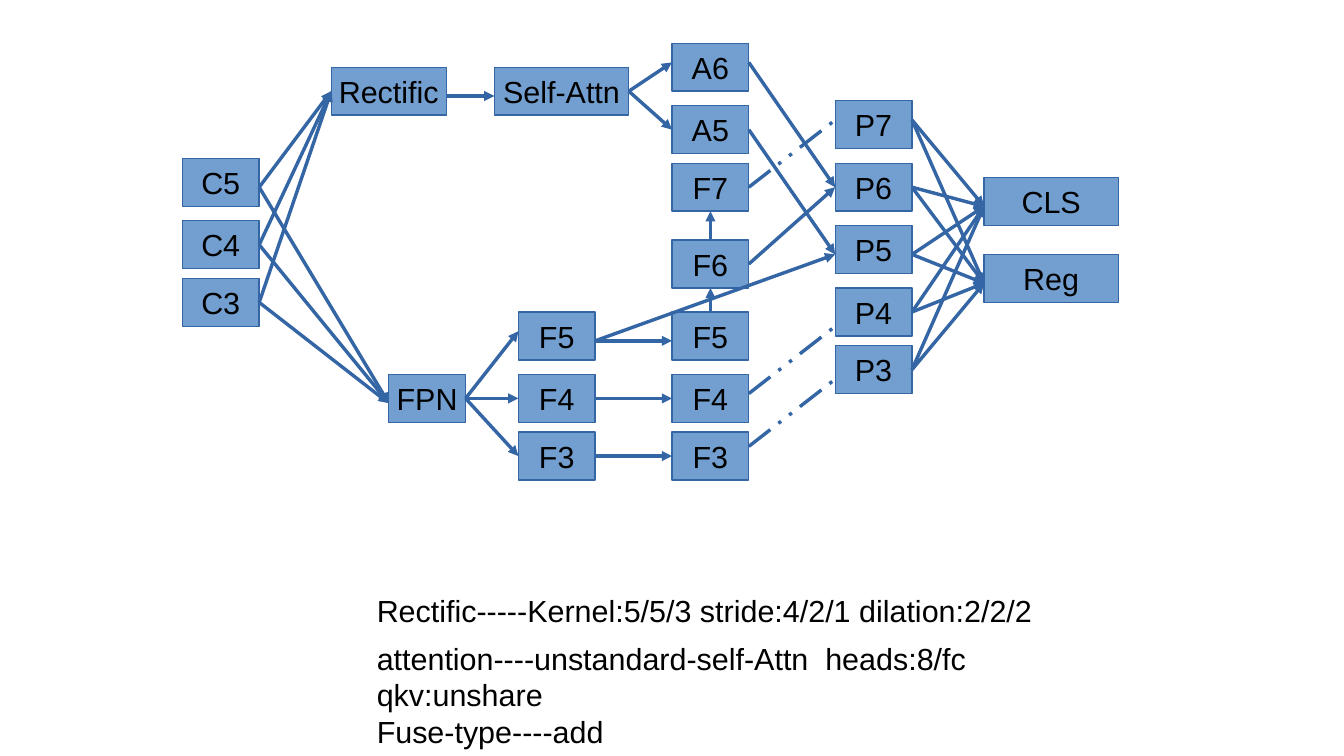
from dataclasses import dataclass

from lxml.etree import SubElement
from pptx import Presentation
from pptx.dml.color import RGBColor
from pptx.enum.dml import MSO_LINE
from pptx.enum.shapes import MSO_CONNECTOR, MSO_SHAPE
from pptx.enum.text import MSO_ANCHOR, MSO_AUTO_SIZE, PP_ALIGN
from pptx.oxml.ns import qn
from pptx.util import Cm, Pt


@dataclass(frozen=True)
class Theme:
    """Colours, type and line width of the diagram."""

    fill: RGBColor = RGBColor(0x72, 0x9F, 0xCF)
    line: RGBColor = RGBColor(0x34, 0x65, 0xA4)
    text: RGBColor = RGBColor(0, 0, 0)
    font: str = "Arial"
    size: Pt = Pt(18)
    line_width: Pt = Pt(0)


THEME = Theme()
BOX_WIDTH, BOX_HEIGHT = 1.6, 1.0

COLUMNS = [
    (3.8, BOX_WIDTH, {"C5": 3.3, "C4": 4.6, "C3": 5.8}),
    (6.9, 2.4, {"Rectific": 1.4}),
    (10.3, 2.8, {"Self-Attn": 1.4}),
    (8.1, BOX_WIDTH, {"FPN": 7.8}),
    (10.8, BOX_WIDTH, {"F5 in": 6.5, "F4 in": 7.8, "F3 in": 9.0}),
    (14.0, BOX_WIDTH, {"A6": 0.9, "A5": 2.2, "F7": 3.4, "F6": 5.0,
                       "F5": 6.5, "F4": 7.8, "F3": 9.0}),
    (17.4, BOX_WIDTH, {"P7": 2.1, "P6": 3.4, "P5": 4.7, "P4": 6.0, "P3": 7.2}),
    (20.5, 2.8, {"CLS": 3.7, "Reg": 5.3}),
]

FLOWS = [
    (("C5", "C4", "C3"), ("FPN", "Rectific")),
    (("Rectific",), ("Self-Attn",)),
    (("Self-Attn",), ("A6", "A5")),
    (("FPN",), ("F5 in", "F4 in", "F3 in")),
    (("F5 in",), ("F5", "P5")),
    (("F4 in",), ("F4",)),
    (("F3 in",), ("F3",)),
    (("A6", "F6"), ("P6",)),
    (("A5",), ("P5",)),
    (("P7", "P6", "P5", "P4", "P3"), ("CLS", "Reg")),
]
DASHED_FLOWS = [("F7", "P7"), ("F4", "P4"), ("F3", "P3")]
UPWARD_FLOWS = [("F5", "F6"), ("F6", "F7")]

MIDDLE = BOX_HEIGHT / 2
EXIT_HEIGHTS = {"C5": 0.6, "Rectific": 0.6, "F5 in": 0.6, "A6": 0.4,
                "P7": 0.4, "P5": 0.6}
ENTRY_HEIGHTS = {"FPN": 0.6, "Self-Attn": 0.6, "A6": 0.4, "F5 in": 0.4,
                 "F5": 0.6, "P5": 0.6, "CLS": 0.6, "Reg": 0.6}
DASHED_EXIT_HEIGHTS = {"F4": 0.4, "F3": 0.3}
DASHED_ENTRY_HEIGHTS = {"P7": 0.4, "P4": 0.8, "P3": 0.7}


def write_text(paragraph, text, align=PP_ALIGN.LEFT, color=THEME.text, size=THEME.size):
    """Put formatted text into a paragraph."""
    paragraph.alignment = align
    run = paragraph.add_run()
    run.text = text
    run.font.name = THEME.font
    run.font.size = size
    run.font.color.rgb = color


def add_box(slide, label, left, top, width):
    """Add one labelled block of the network."""
    shape = slide.shapes.add_shape(
        MSO_SHAPE.RECTANGLE, Cm(left), Cm(top), Cm(width), Cm(BOX_HEIGHT))
    shape.shadow.inherit = False
    shape.fill.solid()
    shape.fill.fore_color.rgb = THEME.fill
    shape.line.color.rgb = THEME.line
    shape.line.width = THEME.line_width
    frame = shape.text_frame
    frame.word_wrap = False
    frame.vertical_anchor = MSO_ANCHOR.MIDDLE
    write_text(frame.paragraphs[0], label, align=PP_ALIGN.CENTER)


def add_line(slide, start, end, dashed=False):
    """Add an arrow, or a dashed line without a head."""
    connector = slide.shapes.add_connector(
        MSO_CONNECTOR.STRAIGHT, *(Cm(value) for value in (*start, *end)))
    connector.line.color.rgb = THEME.line
    connector.line.width = THEME.line_width
    properties = connector._element.spPr
    if dashed:
        connector.line.dash_style = MSO_LINE.DASH_DOT_DOT
    else:
        SubElement(properties.find(qn("a:ln")), qn("a:tailEnd"), type="triangle")
    SubElement(properties, qn("a:effectLst"))


def add_note(slide, lines, top, width, height):
    """Add a text box with one paragraph per line."""
    box = slide.shapes.add_textbox(Cm(7.6), Cm(top), Cm(width), Cm(height))
    frame = box.text_frame
    frame.word_wrap = False
    frame.auto_size = MSO_AUTO_SIZE.SHAPE_TO_FIT_TEXT
    for index, line in enumerate(lines):
        paragraph = frame.add_paragraph() if index else frame.paragraphs[0]
        write_text(paragraph, line)


def exit_point(box, height):
    """Return a point on the right edge of a box."""
    left, top, width = box
    return left + width, top + height


def entry_point(box, height):
    """Return a point on the left edge of a box."""
    left, top, _ = box
    return left, top + height


def add_flows(slide, boxes):
    """Draw every connection between the blocks."""
    for sources, targets in FLOWS:
        for target in targets:
            for source in sources:
                add_line(slide,
                         exit_point(boxes[source], EXIT_HEIGHTS.get(source, MIDDLE)),
                         entry_point(boxes[target], ENTRY_HEIGHTS.get(target, MIDDLE)))
    for source, target in DASHED_FLOWS:
        add_line(slide,
                 exit_point(boxes[source], DASHED_EXIT_HEIGHTS.get(source, MIDDLE)),
                 entry_point(boxes[target], DASHED_ENTRY_HEIGHTS[target]),
                 dashed=True)
    for source, target in UPWARD_FLOWS:
        left, top, width = boxes[source]
        center = left + width / 2
        add_line(slide, (center, top), (center, boxes[target][1] + BOX_HEIGHT))


def main():
    """Build the network diagram and save it."""
    presentation = Presentation()
    presentation.slide_width, presentation.slide_height = Cm(28), Cm(15.75)
    slide = presentation.slides.add_slide(presentation.slide_layouts[6])
    boxes = {name: (left, top, width)
             for left, width, tops in COLUMNS for name, top in tops.items()}
    for name, box in boxes.items():
        add_box(slide, name.removesuffix(" in"), *box)
    add_flows(slide, boxes)
    add_note(slide, ["Rectific-----Kernel:5/5/3 stride:4/2/1 dilation:2/2/2"],
             top=12.2, width=14.17, height=0.96)
    add_note(slide, ["attention----unstandard-self-Attn  heads:8/fc qkv:unshare",
                     "Fuse-type----add"],
             top=13.2, width=16.4, height=1.68)
    presentation.save("out.pptx")


if __name__ == "__main__":
    main()
